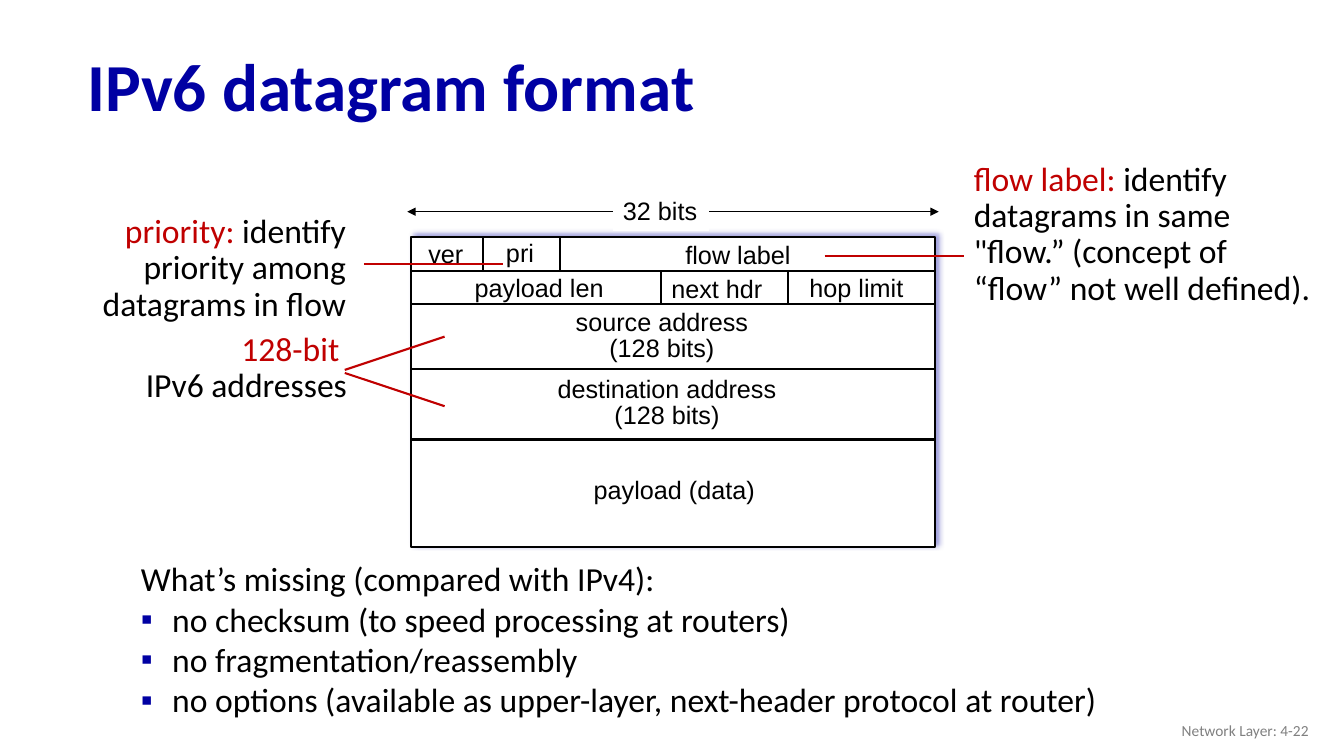
from lxml.etree import SubElement
from pptx import Presentation
from pptx.dml.color import RGBColor
from pptx.enum.shapes import MSO_CONNECTOR as CONNECTOR, MSO_SHAPE as SHAPE
from pptx.enum.text import MSO_ANCHOR as ANCHOR, MSO_AUTO_SIZE as AUTO_SIZE, PP_ALIGN as ALIGN
from pptx.oxml.ns import qn
from pptx.util import Pt

PX = 9144  # 100 px to the inch
BLACK, WHITE, NAVY, RED, GRAY = "000000", "FFFFFF", "0000A3", "C00000", "808080"

LEFT, RIGHT = 408, 927
ROW_EDGES = [235, 269, 302, 366, 436, 543]
DIVIDERS = [(479, 0), (555, 0), (656, 1), (782, 1)]  # x, row
FIELDS = [  # lines, left, top, width, height
    (["ver"], 415, 232, 55, 40),
    (["pri"], 492, 231, 48, 40),
    (["flow label"], 670, 233, 124, 40),
    (["payload len"], 461, 265, 148, 40),
    (["next hdr"], 656, 266, 110, 40),
    (["hop limit"], 793, 265, 113, 40),
    (["source address", "(128 bits)"], 561, 304, 191, 61),
    (["destination address", "(128 bits)"], 543, 370, 237, 61),
    ([" payload (data)"], 572, 466, 188, 40),
]
MISSING = [
    "no checksum (to speed processing at routers)",
    "no fragmentation/reassembly",
    "no options (available as upper-layer, next-header protocol at router)",
]


def color(value):
    return RGBColor.from_string(value)


def add_text(slide, box, paragraphs, size, font="Calibri", align=ALIGN.LEFT,
             spacing=None, wrap=True, anchor=ANCHOR.TOP, bold=None):
    """Add a text box; each paragraph is a list of (text, colour) runs."""
    text_box = slide.shapes.add_textbox(*(v * PX for v in box))
    frame = text_box.text_frame
    frame.word_wrap = wrap
    frame.vertical_anchor = anchor
    frame.auto_size = AUTO_SIZE.NONE if anchor == ANCHOR.MIDDLE else AUTO_SIZE.SHAPE_TO_FIT_TEXT
    for i, runs in enumerate(paragraphs):
        paragraph = frame.add_paragraph() if i else frame.paragraphs[0]
        paragraph.alignment = align
        paragraph.line_spacing = spacing
        paragraph.font.name = font
        paragraph.font.size = Pt(size)
        paragraph.font.bold = bold
        if len(runs) == 1:
            paragraph.font.color.rgb = color(runs[0][1])
        for text, run_color in runs:
            run = paragraph.add_run()
            run.text = text
            if len(runs) > 1:
                run.font.color.rgb = color(run_color)
    return text_box


def add_line(slide, x1, y1, x2, y2, line_color=BLACK, width=1.5, arrows=False):
    line = slide.shapes.add_connector(CONNECTOR.STRAIGHT, x1 * PX, y1 * PX, x2 * PX, y2 * PX)
    line.line.color.rgb = color(line_color)
    line.line.width = Pt(width)
    properties = line.element.spPr
    if arrows:
        for end in ("a:headEnd", "a:tailEnd"):
            SubElement(properties.find(qn("a:ln")), qn(end), type="triangle")
    SubElement(properties, qn("a:effectLst"))


def add_bullet(paragraph):
    properties = paragraph.font and paragraph._p.get_or_add_pPr()
    properties.set("marL", str(31 * PX))
    properties.set("indent", str(-31 * PX))
    defaults = properties.find(qn("a:defRPr"))
    bullet_color = SubElement(properties, qn("a:buClr"))
    SubElement(bullet_color, qn("a:srgbClr"), val=NAVY)
    SubElement(properties, qn("a:buFont"), typeface="Arial")
    SubElement(properties, qn("a:buChar"), char="▪")
    properties.append(defaults)  # the schema wants the run defaults last


def add_datagram_frame(slide):
    top, bottom = ROW_EDGES[0], ROW_EDGES[-1]
    frame = slide.shapes.add_shape(
        SHAPE.RECTANGLE, LEFT * PX, top * PX, (RIGHT - LEFT) * PX, (bottom - top) * PX)
    frame.fill.solid()
    frame.fill.fore_color.rgb = color(WHITE)
    frame.line.color.rgb = color(BLACK)
    frame.line.width = Pt(1.5)
    frame.shadow.inherit = False
    effects = frame.element.spPr.find(qn("a:effectLst"))
    shadow = SubElement(effects, qn("a:outerShdw"), blurRad=str(Pt(4)), dist=str(Pt(3)),
                        dir=str(315 * 60000), algn="ctr", rotWithShape="0")
    shadow_color = SubElement(shadow, qn("a:srgbClr"), val=NAVY)
    SubElement(shadow_color, qn("a:alpha"), val="40000")


def add_datagram(slide):
    add_datagram_frame(slide)
    for y in ROW_EDGES[1:-1]:
        add_line(slide, LEFT, y, RIGHT, y)
    for x, row in DIVIDERS:
        add_line(slide, x, ROW_EDGES[row], x, ROW_EDGES[row + 1])
    for lines, *box in FIELDS:
        stacked = len(lines) > 1
        add_text(slide, box, [[(line, BLACK)] for line in lines], 18, "Arial",
                 ALIGN.CENTER if stacked else ALIGN.LEFT,
                 0.85 if stacked else None, wrap=False)
    add_line(slide, 404, 210, 931, 210, width=0.75, arrows=True)
    bit_width = add_text(slide, (608, 189, 95, 40), [[("32 bits", BLACK)]], 18, "Arial", wrap=False)
    bit_width.fill.solid()
    bit_width.fill.fore_color.rgb = color(WHITE)


def add_callouts(slide):
    add_text(slide, (17, 208, 336, 119),
             [[("priority: ", RED), ("identify priority among datagrams in flow", BLACK)]],
             24, align=ALIGN.RIGHT, spacing=0.9)
    add_text(slide, (956, 156, 354, 156),
             [[("flow label: ", RED),
               ("identify datagrams in same \"flow.” (concept of “flow” not well defined).", BLACK)]],
             24, spacing=0.9)
    add_text(slide, (0, 325, 354, 83), [[("128-bit ", RED)], [("IPv6 addresses", BLACK)]],
             24, align=ALIGN.RIGHT, spacing=0.9)
    for ends in [(361, 262, 499, 262), (818, 254, 956, 254),
                 (342, 370, 441, 403), (342, 367, 441, 334)]:
        add_line(slide, *ends, RED)


def main():
    deck = Presentation()
    deck.slide_width, deck.slide_height = 1333 * PX, 750 * PX
    slide = deck.slides.add_slide(deck.slide_layouts[6])
    add_text(slide, (77, 31, 1150, 117), [[("IPv6 datagram format", NAVY)]], 48,
             spacing=0.9, anchor=ANCHOR.MIDDLE, bold=True)
    add_datagram(slide)
    add_callouts(slide)
    missing = add_text(slide, (130, 549, 981, 172),
                       [[(line, BLACK)] for line in ["What’s missing (compared with IPv4):", *MISSING]], 24)
    for paragraph in missing.text_frame.paragraphs[1:]:
        add_bullet(paragraph)
    add_text(slide, (1008, 705, 300, 40), [[("Network Layer: 4-22", GRAY)]], 11,
             align=ALIGN.RIGHT, anchor=ANCHOR.MIDDLE)
    deck.save("out.pptx")


if __name__ == "__main__":
    main()
